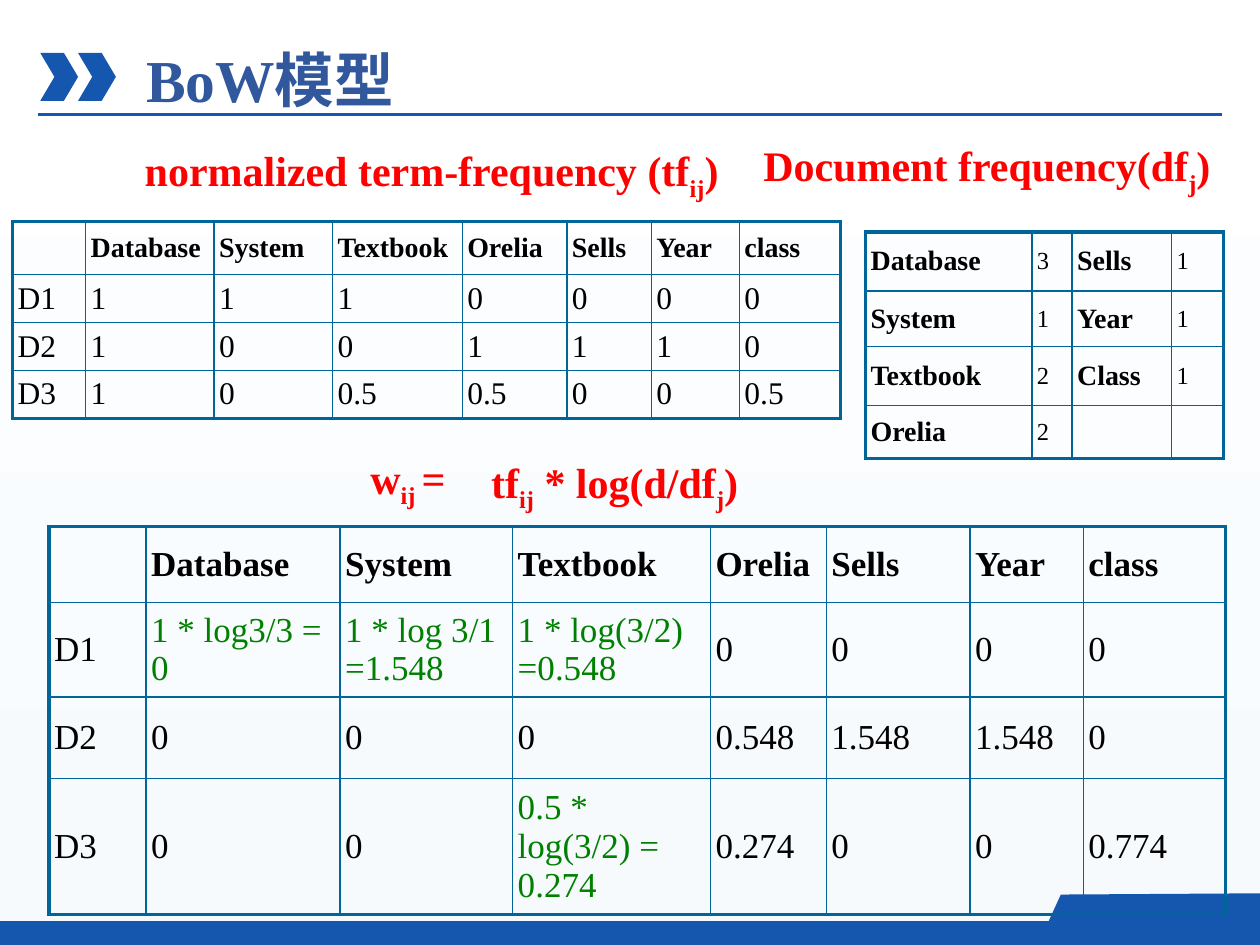
import pptx
import pptx.dml.color
import pptx.enum.dml
import pptx.enum.shapes
import pptx.enum.text
import pptx.oxml
import pptx.oxml.ns
import pptx.util
from lxml import etree

Inches = pptx.util.Inches
Pt = pptx.util.Pt
RGBColor = pptx.dml.color.RGBColor
SHAPE = pptx.enum.shapes.MSO_SHAPE
ANCHOR = pptx.enum.text.MSO_ANCHOR

WHITE = RGBColor(0xFF, 0xFF, 0xFF)
PALE = RGBColor(0xF6, 0xFA, 0xFD)
BLUE = RGBColor(0x15, 0x57, 0xAE)
TITLE_BLUE = RGBColor(0x31, 0x58, 0x9C)
RED = RGBColor(0xFF, 0x00, 0x00)
BLACK = RGBColor(0x00, 0x00, 0x00)
GREEN = RGBColor(0x00, 0x80, 0x00)
BORDER = RGBColor(0x00, 0x66, 0x99)

FONT = "Times New Roman"
INNER, OUTER = 1, 2.25
CELL_MARGIN = 0.04

TERMS = ["", "Database", "System", "Textbook", "Orelia", "Sells", "Year", "class"]

FREQUENCY_TABLE = {
    "at": (0.1, 1.76),
    "columns": [0.58, 1.02, 0.94, 1.03, 0.83, 0.67, 0.7, 0.8],
    "heights": [0.42, 0.38, 0.38, 0.38],
    "label_size": 16,
    "value_size": 18,
    "rows": [
        TERMS,
        ["D1", "1", "1", "1", "0", "0", "0", "0"],
        ["D2", "1", "0", "0", "1", "1", "1", "0"],
        ["D3", "1", "0", "0.5", "0.5", "0", "0", "0.5"],
    ],
}
DOCUMENT_TABLE = {
    "at": (6.87, 1.84),
    "columns": [1.32, 0.32, 0.79, 0.41],
    "heights": [0.47, 0.44, 0.47, 0.42],
    "label_size": 16,
    "value_size": 14,
    "rows": [
        ["Database", "3", "Sells", "1"],
        ["System", "1", "Year", "1"],
        ["Textbook", "2", "Class", "1"],
        ["Orelia", "2", "", ""],
    ],
}
WEIGHT_TABLE = {
    "at": (0.39, 4.18),
    "columns": [0.77, 1.54, 1.37, 1.57, 0.92, 1.14, 0.9, 1.13],
    "heights": [0.6, 0.75, 0.65, 1.08],
    "label_size": 20,
    "value_size": 20,
    "rows": [
        TERMS,
        ["D1", "1 * log3/3 = 0", "1 * log 3/1 =1.548", "1 * log(3/2) =0.548",
         "0", "0", "0", "0"],
        ["D2", "0", "0", "0", "0.548", "1.548", "1.548", "0"],
        ["D3", "0", "0", "0.5 * log(3/2) = 0.274", "0.274", "0", "0", "0.774"],
    ],
}

# Text pieces alternate between the baseline and subscript.
FORMULAS = [
    ((2.84, 3.54, 1.08, 0.5), True, ["w", "ij ", "="]),
    ((3.8, 3.57, 2.21, 0.51), False, ["tf", "ij", " * log(d/df", "j", ")"]),
    ((1.05, 1.1, 4.82, 0.5), False, ["normalized term-frequency (tf", "ij", ")"]),
    ((5.96, 1.06, 4.43, 0.5), True, ["Document frequency(df", "j", ")"]),
]


def set_font(font, color, **values):
    for name, value in {"name": FONT, **values}.items():
        setattr(font, name, value)
    font.color.rgb = color


def paint_background(slide):
    fill = slide.background.fill
    fill.gradient()
    fill.gradient_angle = 270
    for stop, color in zip(fill.gradient_stops, (WHITE, PALE)):
        stop.color.rgb = color


def paint_blue(shape):
    shape.shadow.inherit = False
    shape.fill.solid()
    shape.fill.fore_color.rgb = BLUE
    shape.line.fill.background()


def add_blue_shape(slide, kind, *place):
    shape = slide.shapes.add_shape(kind, *map(Inches, place))
    paint_blue(shape)
    return shape


def add_footer(slide):
    add_blue_shape(slide, SHAPE.FLOWCHART_PROCESS, 0, 7.31, 10, 0.19)
    corners = [(Inches(x), Inches(y))
               for x, y in [(10, 7.45), (10, 7.09), (8.42, 7.1), (8.26, 7.45)]]
    builder = slide.shapes.build_freeform(*corners[0])
    builder.add_line_segments(corners[1:], close=True)
    paint_blue(builder.convert_to_shape())


def add_title_rule(slide):
    rule = slide.shapes.add_connector(
        pptx.enum.shapes.MSO_CONNECTOR.STRAIGHT,
        Inches(0.3), Inches(0.91), Inches(9.7), Inches(0.91))
    rule.line.color.rgb = BLUE
    rule.line.width = Pt(1.5)
    etree.SubElement(rule._element.spPr, pptx.oxml.ns.qn("a:effectLst"))


def add_chevrons(slide):
    for left in (0.32, 0.62):
        chevron = add_blue_shape(slide, SHAPE.CHEVRON, left, 0.42, 0.3, 0.38)
        chevron.adjustments[0] = 0.375


def fill_title(slide, text):
    title = slide.shapes.title
    place = {"left": 1.06, "top": -0.02, "width": 8.75, "height": 0.98}
    for name, value in place.items():
        setattr(title, name, Inches(value))
    frame = title.text_frame
    frame.text = text
    frame.vertical_anchor = ANCHOR.BOTTOM
    para = frame.paragraphs[0]
    para.alignment = pptx.enum.text.PP_ALIGN.LEFT
    set_font(para.runs[0].font, TITLE_BLUE, size=Pt(34), bold=True)


def add_formula(slide, place, wrap, pieces):
    box = slide.shapes.add_textbox(*map(Inches, place))
    frame = box.text_frame
    frame.word_wrap = wrap
    frame.auto_size = pptx.enum.text.MSO_AUTO_SIZE.SHAPE_TO_FIT_TEXT
    for index, piece in enumerate(pieces):
        run = frame.paragraphs[0].add_run()
        run.text = piece
        set_font(run.font, RED, size=Pt(24), bold=True)
        if index % 2:
            run._r.get_or_add_rPr().set("baseline", "-25000")


def set_borders(cell, widths):
    """Draw the cell sides; widths maps L, R, T and B, in that order, to points."""
    properties = cell._tc.get_or_add_tcPr()
    for side, width in widths.items():
        properties.append(pptx.oxml.parse_xml(
            f'<a:ln{side} {pptx.oxml.ns.nsdecls("a")} w="{Pt(width)}">'
            f'<a:solidFill><a:srgbClr val="{BORDER}"/></a:solidFill></a:ln{side}>'))


def fill_cell(cell, text, label_size, value_size):
    """Words are bold labels; formulas with a logarithm are green."""
    for side in ("left", "right", "top", "bottom"):
        setattr(cell, f"margin_{side}", Inches(CELL_MARGIN))
    cell.vertical_anchor = ANCHOR.MIDDLE
    cell.fill.background()
    if text:
        is_label = text.isalpha()
        run = cell.text_frame.paragraphs[0].add_run()
        run.text = text
        set_font(run.font, GREEN if "log" in text else BLACK,
                 size=Pt(label_size if is_label else value_size), bold=is_label)


def add_grid(slide, at, columns, heights, label_size, value_size, rows):
    place = (*at, sum(columns), sum(heights))
    table = slide.shapes.add_table(
        len(heights), len(columns), *map(Inches, place)).table
    table.first_row = table.horz_banding = False
    for column, width in zip(table.columns, columns):
        column.width = Inches(width)
    for row, height in zip(table.rows, heights):
        row.height = Inches(height)
    last_row, last_column = len(heights) - 1, len(columns) - 1
    for r, texts in enumerate(rows):
        for c, text in enumerate(texts):
            edges = {"L": c == 0, "R": c == last_column,
                     "T": r == 0, "B": r == last_row}
            cell = table.cell(r, c)
            set_borders(cell, {side: OUTER if edge else INNER
                               for side, edge in edges.items()})
            fill_cell(cell, text, label_size, value_size)


def main():
    deck = pptx.Presentation()
    deck.slide_width, deck.slide_height = Inches(10), Inches(7.5)
    slide = deck.slides.add_slide(deck.slide_layouts[5])
    paint_background(slide)
    add_footer(slide)
    add_title_rule(slide)
    add_chevrons(slide)
    fill_title(slide, "BoW模型")
    for grid in (FREQUENCY_TABLE, DOCUMENT_TABLE, WEIGHT_TABLE):
        add_grid(slide, **grid)
    for formula in FORMULAS:
        add_formula(slide, *formula)
    deck.save("out.pptx")


if __name__ == "__main__":
    main()
